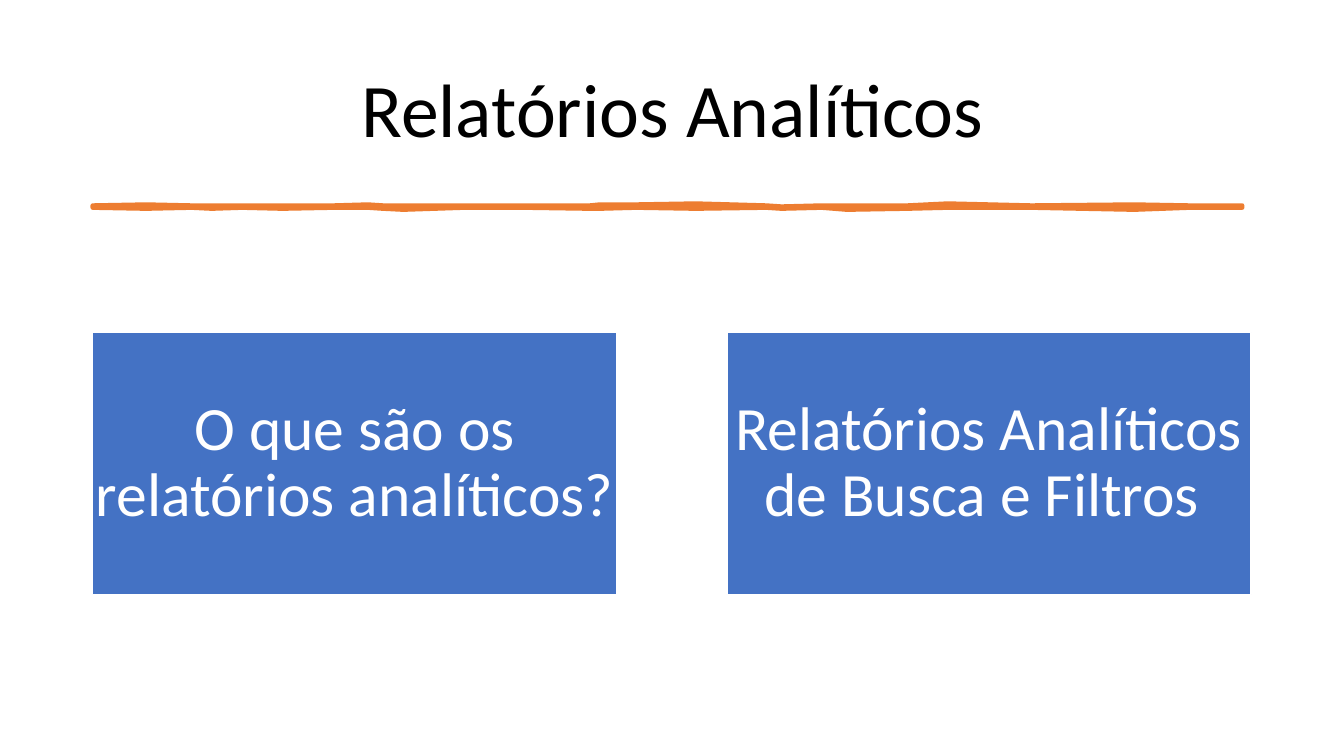
from pptx import Presentation
from pptx.dml.color import RGBColor
from pptx.enum.shapes import MSO_SHAPE
from pptx.enum.text import MSO_ANCHOR, MSO_AUTO_SIZE, PP_ALIGN
from pptx.util import Pt

PX = 9144  # 100 px to the inch


def paint(color, tint):
    color.rgb = RGBColor.from_string(tint)


def write(shape, text, size, tint, inset):
    frame = shape.text_frame
    form = dict(word_wrap=True, auto_size=MSO_AUTO_SIZE.NONE,
                vertical_anchor=MSO_ANCHOR.MIDDLE)
    for side in ("left", "top", "right", "bottom"):
        form["margin_" + side] = inset * PX
    for key, value in form.items():
        setattr(frame, key, value)
    frame.text = text
    para = frame.paragraphs[0]
    para.alignment = PP_ALIGN.CENTER
    para.line_spacing = 0.9
    font = para.runs[0].font
    for key, value in dict(name="Calibri", size=Pt(size)).items():
        setattr(font, key, value)
    paint(font.color, tint)


deck = Presentation()
deck.slide_width, deck.slide_height = 1333 * PX, 750 * PX
slide = deck.slides.add_slide(deck.slide_layouts[5])

# Title
title = slide.shapes.title
place = dict(left=92, top=40, width=1150, height=145)
for key, value in place.items():
    setattr(title, key, value * PX)
write(title, "Relatórios Analíticos", 54, "000000", 5)

# Brush stroke: x, upper edge, lower edge
stroke = [
    (92, 204, 206), (145, 203, 207), (190, 204, 206), (210, 204, 207),
    (240, 204, 206), (280, 204, 207), (331, 204, 206), (365, 203, 206),
    (380, 204, 207), (400, 204, 208), (460, 204, 206), (520, 204, 206),
    (585, 204, 207), (595, 203, 207), (631, 203, 206), (690, 202, 207),
    (760, 204, 206), (775, 205, 207), (815, 204, 206), (840, 204, 208),
    (900, 204, 207), (940, 202, 206), (1023, 204, 206), (1125, 203, 208),
    (1180, 204, 206), (1232, 204, 206),
]
upper = [(x, top) for x, top, low in stroke]
lower = [(x, low) for x, top, low in reversed(stroke)]
pen = slide.shapes.build_freeform(*upper[0], scale=PX)
pen.add_line_segments(upper[1:] + lower, close=True)
brush = pen.convert_to_shape()
brush.shadow.inherit = False
brush.fill.solid()
paint(brush.fill.fore_color, "ED7D31")
paint(brush.line.color, "ED7D31")
brush.line.width = Pt(3.25)

# Topic boxes
topics = ["O que são os relatórios analíticos?",
          "Relatórios Analíticos de Busca e Filtros "]
for col, topic in enumerate(topics):
    box = slide.shapes.add_shape(MSO_SHAPE.RECTANGLE, (92 + col * 629) * PX,
                                 330 * PX, 520 * PX, 260 * PX)
    box.shadow.inherit = False
    box.fill.solid()
    paint(box.fill.fore_color, "4472C4")
    paint(box.line.color, "FFFFFF")
    box.line.width = Pt(1)
    write(box, topic, 44, "FFFFFF", 3)

deck.save("out.pptx")
